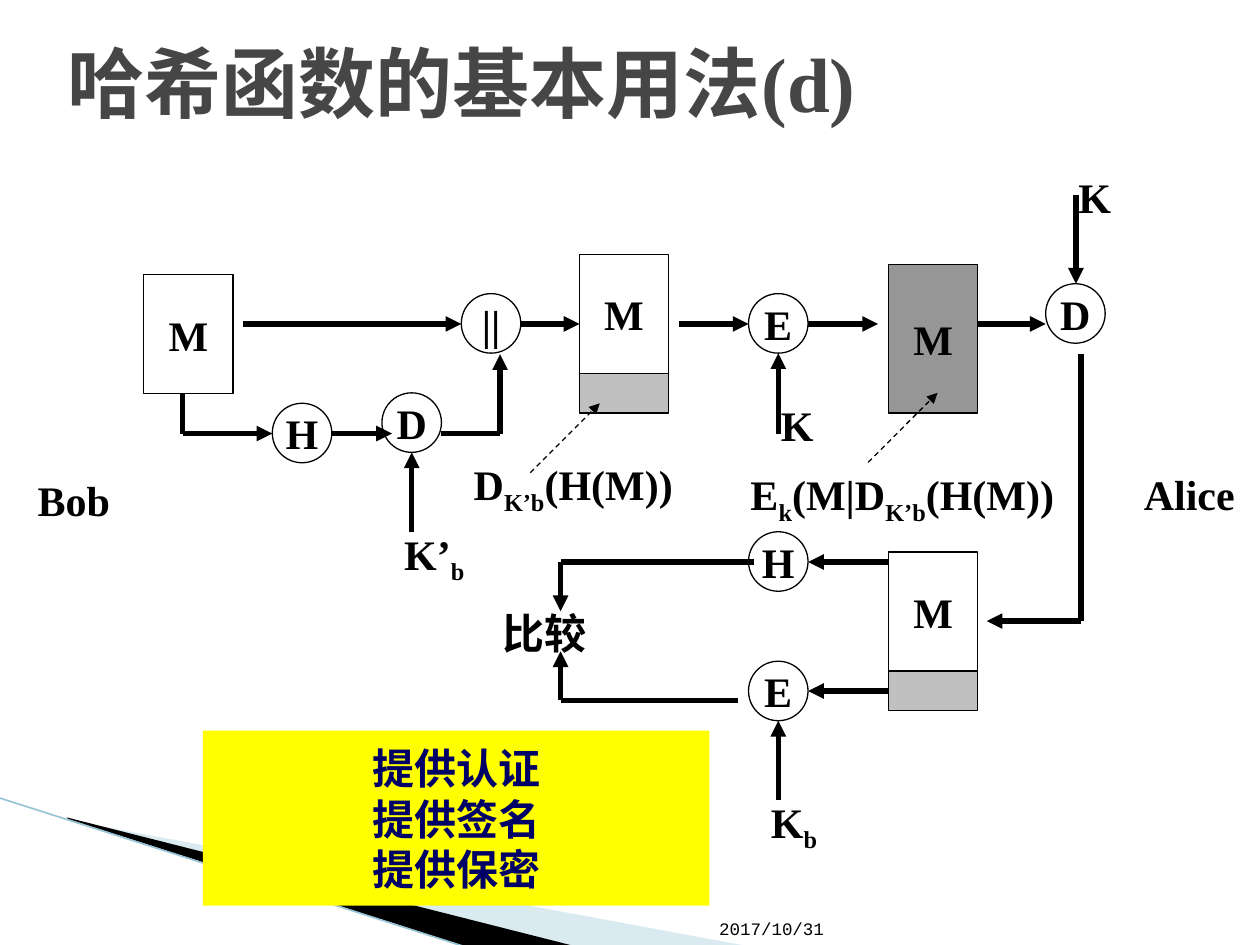
from lxml import etree
from pptx import Presentation
from pptx.dml.color import RGBColor
from pptx.enum.dml import MSO_LINE
from pptx.enum.shapes import MSO_CONNECTOR, MSO_SHAPE
from pptx.enum.text import MSO_ANCHOR as Anchor, PP_ALIGN as Align
from pptx.oxml.ns import qn
from pptx.util import Cm, Pt

BLACK = RGBColor(0, 0, 0)
WHITE = RGBColor(0xFF, 0xFF, 0xFF)
SILVER = RGBColor(0xC0, 0xC0, 0xC0)
GREY = RGBColor(0x96, 0x96, 0x96)
TITLE_GREY = RGBColor(0x46, 0x46, 0x46)
YELLOW = RGBColor(0xFF, 0xFF, 0)
NAVY = RGBColor(0, 0, 0x66)
PALE_BLUE = RGBColor(0xA0, 0xCB, 0xDC)
EDGE_BLUE = RGBColor(0x97, 0xC5, 0xD8)

SERIF = "Times New Roman"
NODE = 1.2
BLOCK_W, BLOCK_H, HASH_H = 1.8, 2.4, 0.8
LABEL_H = 1.27
TOP_ROW = 6.53
HASH_ROW = 8.74
VERIFY_ROW = 11.33
COMPARE_X = 11.3
E_X = 15.69


def style(paragraph, size=24, color=BLACK, name=SERIF, bold=True):
    font = paragraph.font
    font.size, font.name, font.bold = Pt(size), name, bold
    font.color.rgb = color


def add_text(slide, parts, left, top, width, height=LABEL_H, anchor=Anchor.TOP, **look):
    frame = slide.shapes.add_textbox(Cm(left), Cm(top), Cm(width), Cm(height)).text_frame
    frame.word_wrap = True
    frame.vertical_anchor = anchor
    paragraph = frame.paragraphs[0]
    for index, part in enumerate(parts):
        run = paragraph.add_run()
        run.text = part
        if index % 2:
            run._r.get_or_add_rPr().set("baseline", "-25000")
    style(paragraph, **look)


def add_box(slide, kind, lines, left, top, width, height, fill=WHITE, color=BLACK, outlined=True):
    box = slide.shapes.add_shape(kind, Cm(left), Cm(top), Cm(width), Cm(height))
    box.shadow.inherit = False
    box.fill.solid()
    box.fill.fore_color.rgb = fill
    if outlined:
        box.line.color.rgb = BLACK
        box.line.width = Pt(0.75)
    else:
        box.line.fill.background()
    frame = box.text_frame
    frame.word_wrap = False
    frame.vertical_anchor = Anchor.MIDDLE
    frame.text = "\n".join(lines)
    for paragraph in frame.paragraphs:
        paragraph.alignment = Align.CENTER
        style(paragraph, color=color)
    return box


def add_node(slide, letter, left, top):
    add_box(slide, MSO_SHAPE.OVAL, [letter], left, top, NODE, NODE)


def add_block(slide, left, top, height=BLOCK_H, fill=WHITE, lines=("M",)):
    return add_box(slide, MSO_SHAPE.RECTANGLE, lines, left, top, BLOCK_W, height, fill)


def add_hashed_block(slide, left, top):
    add_block(slide, left, top)
    return add_block(slide, left, top + BLOCK_H, HASH_H, SILVER, ())


def add_line(slide, start, end, width=3, color=BLACK, arrow=False, dashed=False):
    line = slide.shapes.add_connector(
        MSO_CONNECTOR.STRAIGHT, Cm(start[0]), Cm(start[1]), Cm(end[0]), Cm(end[1]))
    line.line.color.rgb = color
    line.line.width = Pt(width)
    if dashed:
        line.line.dash_style = MSO_LINE.DASH
    if arrow:
        etree.SubElement(line.line._get_or_add_ln(), qn("a:tailEnd"), type="triangle")
    etree.SubElement(line._element.spPr, qn("a:effectLst"))
    return line


def add_route(slide, *points):
    for index, (start, end) in enumerate(zip(points, points[1:])):
        add_line(slide, start, end, arrow=index == len(points) - 2)


def add_wedge(slide, points, color, opacity=100):
    corners = [(Cm(x), Cm(y)) for x, y in points]
    builder = slide.shapes.build_freeform(*corners[0])
    builder.add_line_segments(corners[1:], close=True)
    wedge = builder.convert_to_shape()
    wedge.shadow.inherit = False
    wedge.fill.solid()
    wedge.fill.fore_color.rgb = color
    wedge.line.fill.background()
    if opacity < 100:
        tint = wedge._element.spPr.find(qn("a:solidFill"))[0]
        etree.SubElement(tint, qn("a:alpha"), val=str(opacity * 1000))


def add_decor(slide):
    add_wedge(slide, [(1.4, 16.54), (15.11, 19.08), (11.58, 19.08), (1.4, 16.51)], PALE_BLUE, 40)
    add_wedge(slide, [(1.35, 16.48), (11.61, 19.08), (9.45, 19.1), (1.37, 16.51)], BLACK)
    add_line(slide, (-0.03, 16.08), (9.42, 19.1), 0.95, EDGE_BLUE)


def add_blocks_and_nodes(slide):
    add_block(slide, 2.9, 5.54)
    add_hashed_block(slide, 11.68, 5.13)
    add_block(slide, 17.91, 5.33, 3, GREY)
    received_hash = add_hashed_block(slide, 17.91, 11.13)
    for letter, left, top in [
        ("||", 9.3, 5.92), ("H", 5.49, 8.13), ("D", 7.7, 7.92), ("E", 15.09, 5.92),
        ("D", 21.08, 5.72), ("H", 15.09, 10.72), ("E", 15.09, 13.33),
    ]:
        add_node(slide, letter, left, top)
    return received_hash


def add_flows(slide, received_hash):
    for route in [
        [(4.9, TOP_ROW), (9.3, TOP_ROW)],
        [(10.5, TOP_ROW), (11.68, TOP_ROW)],
        [(13.69, TOP_ROW), (15.09, TOP_ROW)],
        [(16.29, TOP_ROW), (17.7, TOP_ROW)],
        [(19.69, TOP_ROW), (21.08, TOP_ROW)],
        [(3.68, 7.94), (3.68, HASH_ROW), (5.49, HASH_ROW)],
        [(6.69, HASH_ROW), (7.9, HASH_ROW)],
        [(8.9, HASH_ROW), (10.08, HASH_ROW), (10.08, 7.14)],
        [(8.3, 10.72), (8.3, 9.12)],
        [(E_X, HASH_ROW), (E_X, 7.12)],
        [(21.69, 3.94), (21.69, 5.72)],
        [(21.79, 7.14), (21.79, 12.52), (19.89, 12.52)],
        [(17.91, VERIFY_ROW), (16.29, VERIFY_ROW)],
        [(15.19, VERIFY_ROW), (COMPARE_X, VERIFY_ROW), (COMPARE_X, 12.32)],
        [(14.88, 14.12), (COMPARE_X, 14.12), (COMPARE_X, 13.13)],
        [(E_X, 16.13), (E_X, 14.53)],
    ]:
        add_route(slide, *route)
    decrypt = add_line(slide, (17.91, 13.93), (16.29, 13.93), arrow=True)
    decrypt.begin_connect(received_hash, 1)
    for start, end in [((10.69, 9.53), (12.09, 8.13)), ((17.5, 9.32), (18.9, 7.92))]:
        add_line(slide, start, end, 0.75, arrow=True, dashed=True)


def add_labels(slide):
    for parts, left, top, width in [
        (["K"], 15.49, 7.92, 1.8),
        (["K"], 21.49, 3.33, 1.8),
        (["K’", "b"], 7.9, 10.52, 1.8),
        (["K", "b"], 15.29, 15.93, 1.8),
        (["D", "K’b", "(H(M))"], 9.3, 9.12, 5.38),
        (["E", "k", "(M|D", "K’b", "(H(M))"], 14.88, 9.32, 7.01),
        (["比较"], 9.88, 12.12, 2.39),
        (["Bob"], 0.51, 9.45, 3.61),
        (["Alice"], 22.81, 9.32, 2.59),
    ]:
        add_text(slide, parts, left, top, width)


def main():
    deck = Presentation()
    deck.slide_width, deck.slide_height = Cm(25.4), Cm(19.05)
    slide = deck.slides.add_slide(deck.slide_layouts[6])
    add_decor(slide)
    add_text(slide, ["哈希函数的基本用法(d)"], 1.12, 0.05, 22.86, 3.18, Anchor.MIDDLE,
             size=44, color=TITLE_GREY)
    add_text(slide, ["2017/10/31"], 14.25, 17.81, 2.84, 1.24, Anchor.BOTTOM,
             size=10, name="Courier New", bold=False)
    add_box(slide, MSO_SHAPE.RECTANGLE, ["提供认证", "提供签名", "提供保密"],
            4.09, 14.73, 10.21, 3.53, YELLOW, NAVY, outlined=False)
    received_hash = add_blocks_and_nodes(slide)
    add_flows(slide, received_hash)
    add_labels(slide)
    deck.save("out.pptx")


if __name__ == "__main__":
    main()
